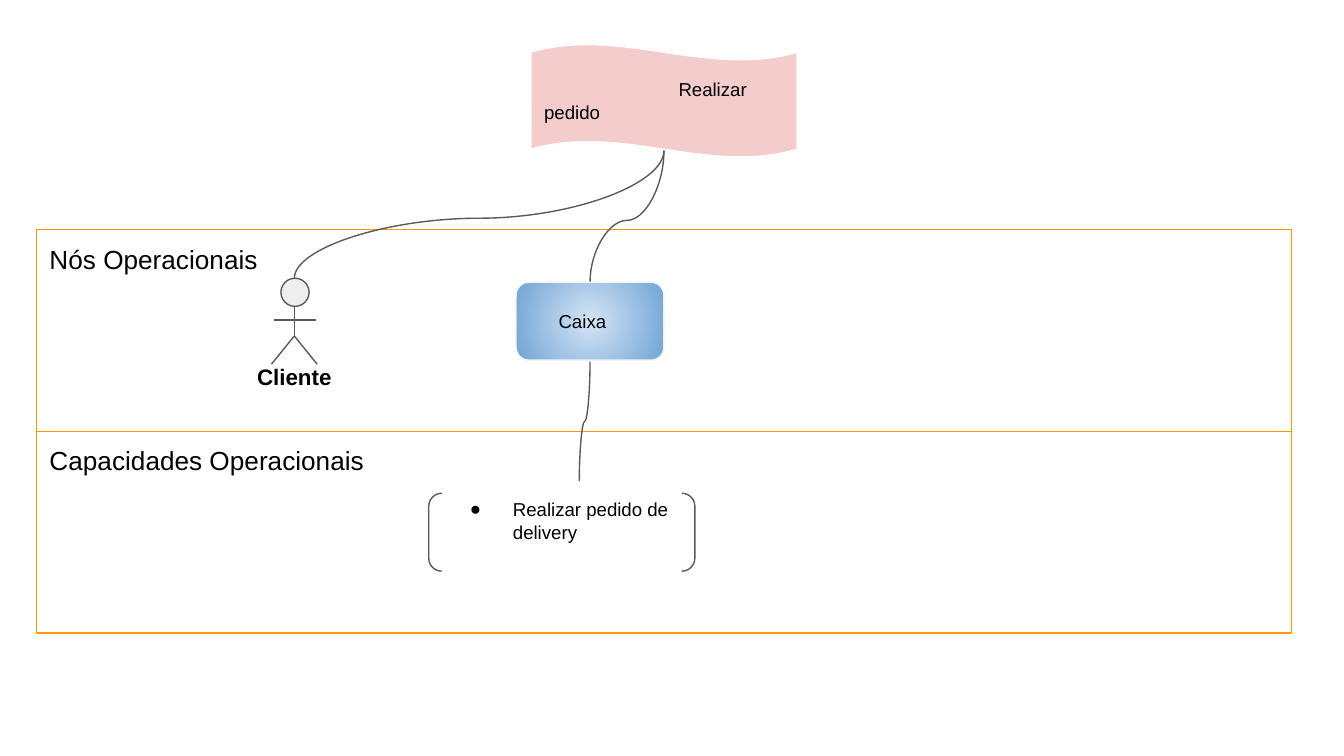
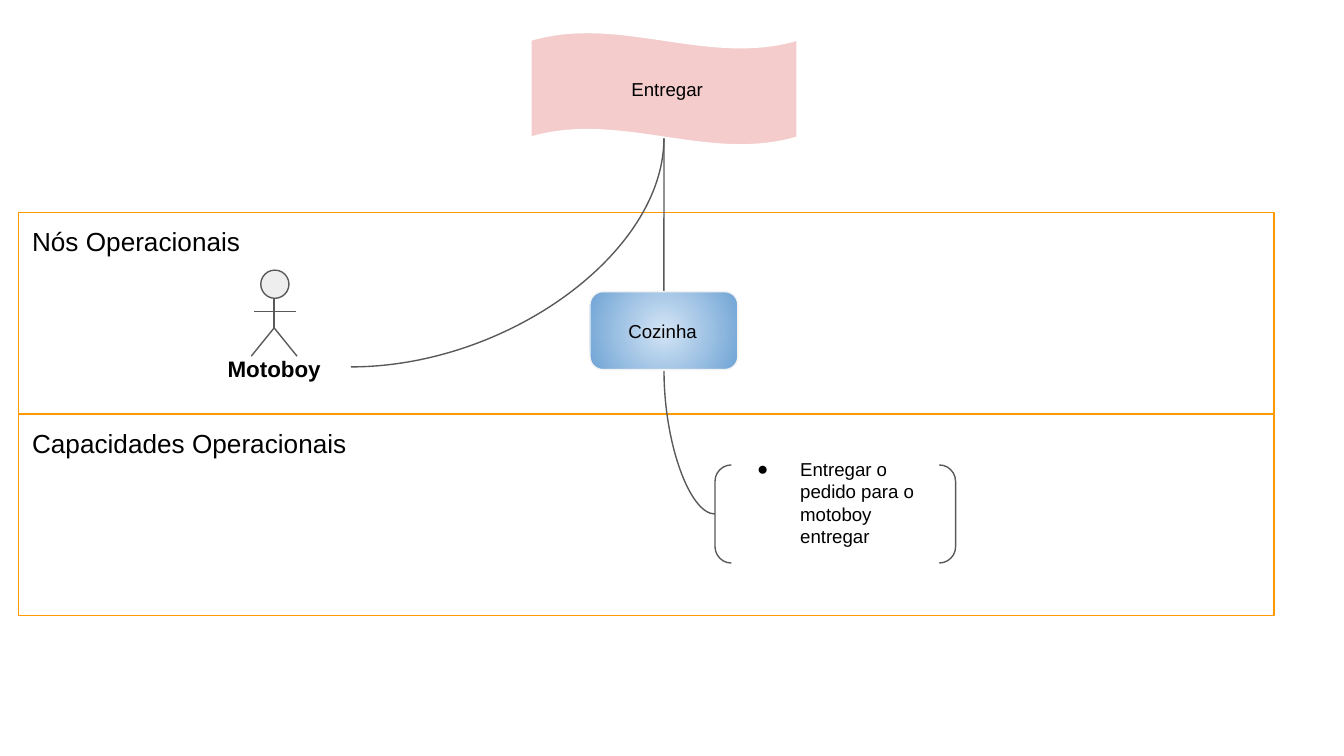
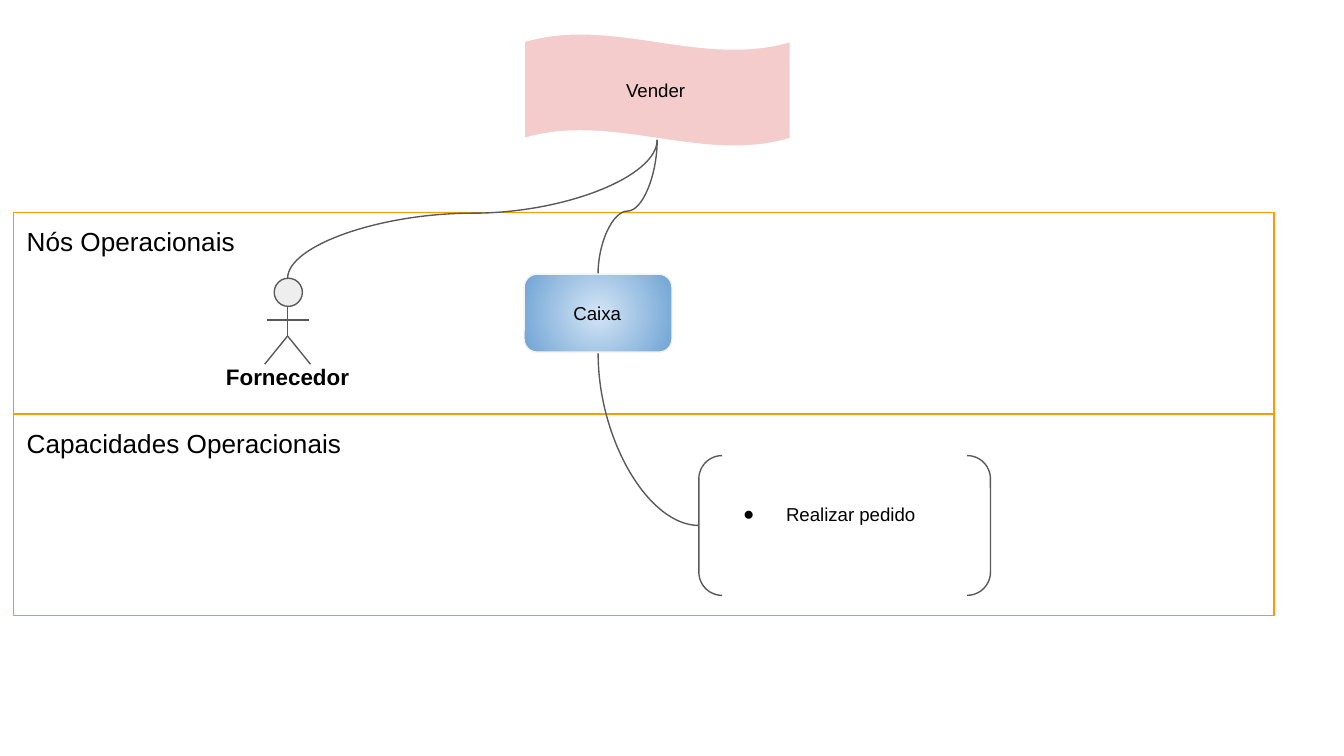
from dataclasses import dataclass

from pptx import Presentation
from pptx import oxml
from pptx import util as u
from pptx.dml import color
from pptx.enum import shapes, text
from pptx.oxml import ns


@dataclass(frozen=True)
class Theme:
    font: str = "Arial"
    ink: str = "000000"
    band: str = "FF9900"
    banner: str = "F4CCCC"
    banner_edge: str = "FFFFFF"
    stroke: str = "595959"
    head: str = "EEEEEE"
    node_center: str = "D4E5F5"
    node_rim: str = "70A4D5"
    node_edge: str = "F3F3F3"
    heading: int = 14
    label: int = 12
    body: int = 10
    line: float = 0.75


theme = Theme()
rgb = color.RGBColor.from_string
new_element = oxml.xmlchemy.OxmlElement
preset = shapes.MSO_SHAPE
middle = text.MSO_ANCHOR.MIDDLE


def add_box(parent, kind, frame, words="", size=theme.body, edge=theme.stroke, fill=None,
            anchor=text.MSO_ANCHOR.TOP, indent=0, bold=False):
    lengths = [u.Inches(value) for value in frame]
    if kind is None:
        shape = parent.add_textbox(*lengths)
    else:
        shape = parent.add_shape(kind, *lengths)
        shape.shadow.inherit = False
        shape.line.color.rgb = rgb(edge)
        shape.line.width = u.Pt(theme.line)
        shape.fill.background()
        if fill:
            shape.fill.solid()
            shape.fill.fore_color.rgb = rgb(fill)
    if words:
        body = shape.text_frame
        body.word_wrap = True
        body.vertical_anchor = anchor
        body.margin_left = body.margin_right = u.Inches(0.1)
        body.margin_top = body.margin_bottom = u.Inches(0.1)
        paragraph = body.paragraphs[0]
        paragraph.alignment = text.PP_ALIGN.LEFT if kind else text.PP_ALIGN.CENTER
        if indent:
            paragraph._p.get_or_add_pPr().set("indent", str(u.Inches(indent)))
        run = paragraph.add_run()
        run.text = words
        run.font.name = theme.font
        run.font.size = u.Pt(size)
        run.font.bold = bold
        run.font.color.rgb = rgb(theme.ink)
    return shape


def add_line(parent, start, end, geometry="line", rotation=0, flip=False, bend=None):
    ends = (*start, *end)
    if geometry != "line":
        width, height = abs(end[0] - start[0]), abs(end[1] - start[1])
        if rotation in (90, 270):
            width, height = height, width
        left = (start[0] + end[0] - width) / 2
        top = (start[1] + end[1] - height) / 2
        ends = (left, top, left + width, top + height)
    kind = shapes.MSO_CONNECTOR.STRAIGHT if geometry == "line" else shapes.MSO_CONNECTOR.CURVE
    connector = parent.add_connector(kind, *[u.Inches(value) for value in ends])
    connector.line.color.rgb = rgb(theme.stroke)
    connector.line.width = u.Pt(theme.line)
    properties = connector._element.spPr
    properties.append(new_element("a:effectLst"))
    outline = properties.find(ns.qn("a:prstGeom"))
    outline.set("prst", geometry)
    placement = properties.find(ns.qn("a:xfrm"))
    if rotation:
        placement.set("rot", str(rotation * 60000))
    if flip:
        placement.set("flipH", "1")
    if bend:
        guide = new_element("a:gd")
        guide.set("name", "adj1")
        guide.set("fmla", f"val {round(bend * 100000)}")
        outline.find(ns.qn("a:avLst")).append(guide)


wave_up = ("curvedConnector3", 270, False, 0.47)
wave_down = ("curvedConnector3", 90, False, 0.5)
turn_right = ("curvedConnector2", 270, True, None)
turn_up = ("curvedConnector2", 180, True, None)

diagrams = [
    dict(bands=(0.27, 1.71, 9.34), banner=(3.95, 0.33, "Realizar pedido", 1.0),
         actor=(2.09, 2.07, "Cliente"), node=(3.84, 2.1, "Caixa", 0.19),
         capability=(3.19, 3.67, 1.98, 0.58, "Realizar pedido de delivery"),
         links=[("node top", "banner foot", wave_up), ("actor head", "banner foot", wave_up),
                ("node foot", "capability top", wave_down)]),
    dict(bands=(0.14, 1.58, 9.34), banner=(3.95, 0.24, "Entregar", 0.65),
         actor=(1.94, 2.01, "Motoboy"), node=(4.39, 2.17, "Cozinha", 0.16),
         capability=(5.32, 3.46, 1.79, 0.73, "Entregar o pedido para o motoboy entregar"),
         links=[("node top", "banner foot", wave_up), ("actor side", "banner foot", turn_up),
                ("node foot", "capability side", turn_right)]),
    dict(bands=(0.1, 1.58, 9.38), banner=(3.9, 0.25, "Vender", 0.66),
         actor=(2.04, 2.07, "Fornecedor"), node=(3.9, 2.04, "Caixa", 0.24),
         capability=(5.2, 3.39, 2.17, 1.04, "Realizar pedido"),
         links=[("node top", "banner foot", wave_up), ("actor head", "banner foot", wave_up),
                ("node foot", "capability side", turn_right)]),
]
band_titles = ["Nós Operacionais", "Capacidades Operacionais"]
band_height = 1.5
limbs = [((0.1, 0.21), (0.1, 0.43)), ((-0.05, 0.31), (0.26, 0.31)),
         ((0.1, 0.43), (-0.07, 0.64)), ((0.27, 0.64), (0.1, 0.43))]

presentation = Presentation()
presentation.slide_width = u.Inches(10)
presentation.slide_height = u.Inches(10 * 9 / 16)

for diagram in diagrams:
    slide = presentation.slides.add_slide(presentation.slide_layouts[6])
    canvas = slide.shapes

    left, top, width = diagram["bands"]
    for row, title in enumerate(band_titles):
        add_box(canvas, preset.RECTANGLE, (left, top + row * band_height, width, band_height),
                title, theme.heading, theme.band)

    banner_x, banner_y, words, indent = diagram["banner"]
    banner = add_box(canvas, preset.WAVE, (banner_x, banner_y, 1.98, 0.84), words,
                     edge=theme.banner_edge, fill=theme.banner, anchor=middle, indent=indent)
    banner.adjustments[0] = 0.07
    banner.adjustments[1] = 0

    actor_x, actor_y, actor_name = diagram["actor"]
    node_x, node_y, node_name, node_indent = diagram["node"]
    cap_x, cap_y, cap_width, cap_height, cap_words = diagram["capability"]
    anchors = {
        "banner foot": (banner_x + 0.99, banner_y + 0.79),
        "actor head": (actor_x + 0.1, actor_y),
        "actor side": (actor_x + 0.67, actor_y + 0.72),
        "node top": (node_x + 0.55, node_y),
        "node foot": (node_x + 0.55, node_y + 0.59),
        "capability top": (cap_x + 1.12, cap_y - 0.09),
        "capability side": (cap_x, cap_y + cap_height / 2),
    }
    for start, end, style in diagram["links"]:
        add_line(canvas, anchors[start], anchors[end], *style)

    capability = add_box(canvas, preset.DOUBLE_BRACKET, (cap_x, cap_y, cap_width, cap_height),
                         cap_words, anchor=middle, indent=-0.32)
    capability.text_frame.margin_bottom = u.Inches(0.27)
    bullet_style = capability.text_frame.paragraphs[0]._p.get_or_add_pPr()
    bullet_style.set("marL", str(u.Inches(0.5)))
    for tag, name, value in [("a:buSzPts", "val", str(theme.body * 100)),
                             ("a:buFont", "typeface", theme.font),
                             ("a:buChar", "char", "●")]:
        bullet_part = new_element(tag)
        bullet_part.set(name, value)
        bullet_style.append(bullet_part)

    node = add_box(canvas, preset.ROUNDED_RECTANGLE, (node_x, node_y, 1.1, 0.58), node_name,
                   edge=theme.node_edge, anchor=middle, indent=node_indent)
    node.fill.gradient()
    for stop, shade in zip(node.fill.gradient_stops, (theme.node_center, theme.node_rim)):
        stop.color.rgb = rgb(shade)
    gradient = node._element.spPr.find(ns.qn("a:gradFill"))
    gradient.remove(gradient.find(ns.qn("a:lin")))
    gradient.append(oxml.parse_xml(
        f'<a:path {ns.nsdecls("a")} path="circle">'
        '<a:fillToRect l="50000" t="50000" r="50000" b="50000"/></a:path>'))

    actor = canvas.add_group_shape().shapes
    add_box(actor, preset.FLOWCHART_CONNECTOR, (actor_x, actor_y, 0.21, 0.21), fill=theme.head)
    for start, end in limbs:
        add_line(actor, (actor_x + start[0], actor_y + start[1]),
                 (actor_x + end[0], actor_y + end[1]))
    add_box(actor, None, (actor_x - 0.46, actor_y + 0.53, 1.12, 0.38), actor_name,
            theme.label, bold=True)

presentation.save("out.pptx")
